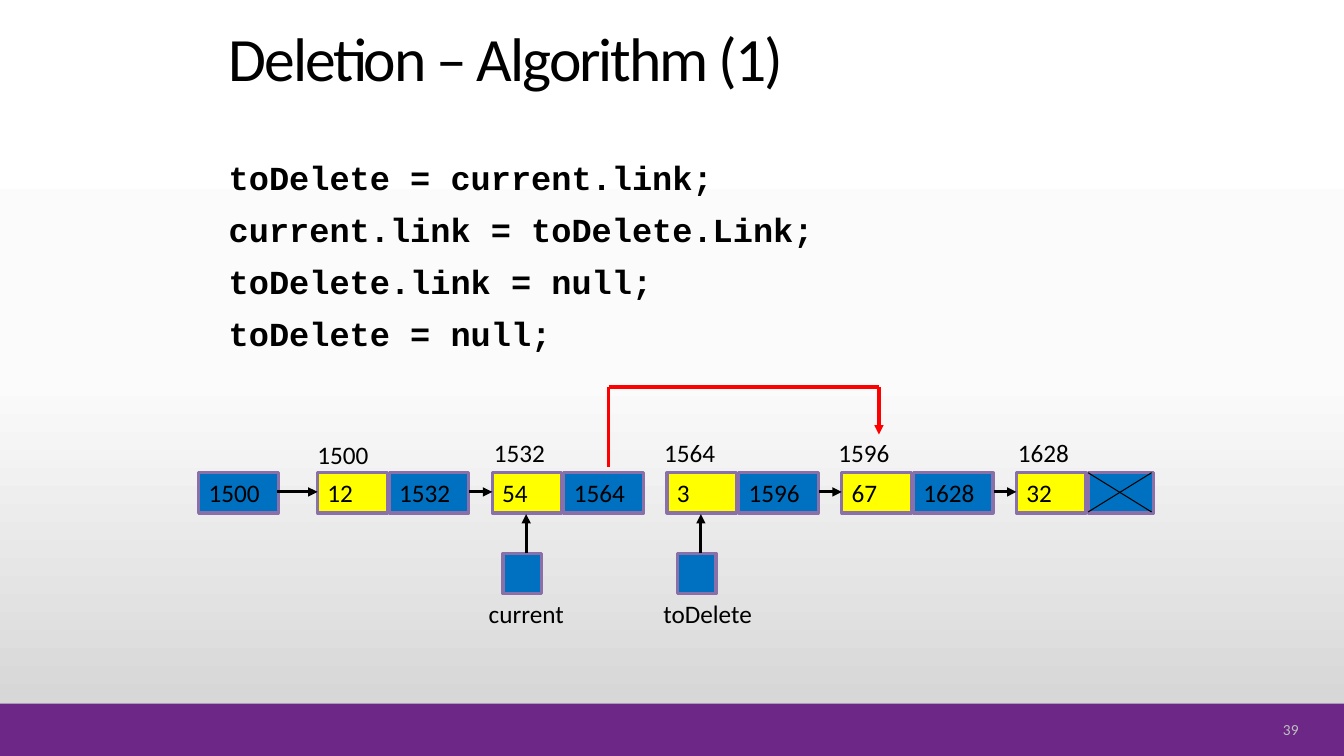
from pptx import Presentation
from pptx import util as u
from pptx.dml.color import RGBColor
from pptx.enum import shapes, text
from pptx.oxml import ns
from lxml import etree

WIDTH, HEIGHT = u.Inches(13.333), u.Inches(7.5)
BLACK = RGBColor(0x00, 0x00, 0x00)
RED = RGBColor(0xFF, 0x00, 0x00)
BLUE = RGBColor(0x00, 0x70, 0xC0)
YELLOW = RGBColor(0xFF, 0xFF, 0x00)
MAUVE = RGBColor(0x89, 0x70, 0xA9)
PURPLE = RGBColor(0x6C, 0x27, 0x87)
GREY = RGBColor(0xBF, 0xBF, 0xBF)
BACKGROUND_STOPS = [
    (0, RGBColor(0xFF, 0xFF, 0xFF)),
    (50, RGBColor(0xFB, 0xFB, 0xFB)),
    (100, RGBColor(0xD1, 0xD1, 0xD1)),
]

NODE_LEFT, NODE_PITCH, NODE_TOP = 23.63, 13, 62.53
LINK_OFFSET, LINK_WIDTH, DATA_WIDTH = 5.33, 5.93, 5.18
CELL_HEIGHT, ARROW_LEVEL = 5.33, 65.07

CODE = [
    "toDelete = current.link;",
    "current.link = toDelete.Link;",
    "toDelete.link = null;",
    "toDelete = null;",
]
NODES = [
    ("1500", 22.88, 57.47, "12", "1532"),
    ("1532", 36, 57.2, "54", "1564"),
    ("1564", 48.68, 57.2, "3", "1596"),
    ("1596", 61.65, 57.2, "67", "1628"),
    ("1628", 75, 57.2, "32", None),
]


def across(share):
    return round(WIDTH * share / 100)


def down(share):
    return round(HEIGHT * share / 100)


def area(left, top, width, height):
    return across(left), down(top), across(width), down(height)


def node_left(index):
    return NODE_LEFT + NODE_PITCH * index


def paint_background(slide):
    fill = slide.background.fill
    fill.gradient()
    fill.gradient_angle = 270
    stops = slide.background._cSld.find(".//" + ns.qn("a:gsLst"))
    for stop in list(stops):
        stops.remove(stop)
    for position, color in BACKGROUND_STOPS:
        stop = etree.SubElement(stops, ns.qn("a:gs"), pos=str(position * 1000))
        etree.SubElement(stop, ns.qn("a:srgbClr"), val=str(color))


def add_run(paragraph, words, size=18, color=BLACK, font="Calibri", bold=False):
    run = paragraph.add_run()
    run.text = words
    run.font.name = font
    run.font.size = u.Pt(size)
    run.font.bold = bold
    run.font.color.rgb = color
    return run


def add_text(slide, bounds, words, wrap=False, anchor=text.MSO_ANCHOR.TOP,
             align=text.PP_ALIGN.LEFT, **style):
    frame = slide.shapes.add_textbox(*area(*bounds)).text_frame
    frame.word_wrap = wrap
    frame.vertical_anchor = anchor
    paragraph = frame.paragraphs[0]
    paragraph.alignment = align
    return paragraph, add_run(paragraph, words, **style)


def add_title(slide):
    paragraph, run = add_text(slide, (16.28, 1.73, 61.88, 11.47), "Deletion – Algorithm (1)",
                              wrap=True, anchor=text.MSO_ANCHOR.BOTTOM, size=44)
    paragraph.line_spacing = 0.9
    run.font._element.set("spc", "-150")


def add_code(slide):
    frame = slide.shapes.add_textbox(*area(16.28, 20.67, 67.5, 68.8)).text_frame
    frame.word_wrap = True
    for index, line in enumerate(CODE):
        paragraph = frame.add_paragraph() if index else frame.paragraphs[0]
        paragraph.line_spacing = 0.9
        paragraph.space_before = u.Pt(10 if index else 0)
        paragraph.space_after = u.Pt(1.2)
        add_run(paragraph, line, size=24, font="Courier New", bold=True)


def add_box(slide, bounds, fill, line=MAUVE, words=None):
    shape = slide.shapes.add_shape(shapes.MSO_SHAPE.RECTANGLE, *area(*bounds))
    shape.shadow.inherit = False
    shape.fill.solid()
    shape.fill.fore_color.rgb = fill
    if line is None:
        shape.line.fill.background()
    else:
        shape.line.color.rgb = line
        shape.line.width = u.Pt(2.25)
    if words:
        frame = shape.text_frame
        frame.word_wrap = True
        frame.vertical_anchor = text.MSO_ANCHOR.TOP
        paragraph = frame.paragraphs[0]
        paragraph.alignment = text.PP_ALIGN.LEFT
        add_run(paragraph, words)


def add_line(slide, start, end, color=BLACK, width=2.25, arrow=True):
    connector = slide.shapes.add_connector(
        shapes.MSO_CONNECTOR.STRAIGHT,
        across(start[0]), down(start[1]), across(end[0]), down(end[1]))
    connector.line.color.rgb = color
    connector.line.width = u.Pt(width)
    if arrow:
        etree.SubElement(connector.line._get_or_add_ln(), ns.qn("a:tailEnd"), type="triangle")
    etree.SubElement(connector._element.spPr, ns.qn("a:effectLst"))


def add_node(slide, index, address, label_left, label_top, data, link):
    left = node_left(index)
    link_left = left + LINK_OFFSET
    add_box(slide, (left, NODE_TOP, DATA_WIDTH, CELL_HEIGHT), YELLOW, words=data)
    link_width = LINK_WIDTH if link else 4.88
    add_box(slide, (link_left, NODE_TOP, link_width, CELL_HEIGHT), BLUE, words=link)
    if link is None:
        right, bottom = link_left + 4.73, NODE_TOP + 5.2
        for top, end in ((NODE_TOP, bottom), (bottom, NODE_TOP)):
            add_line(slide, (link_left, top), (right, end), width=0.75, arrow=False)
    add_text(slide, (label_left, label_top, 5.33, CELL_HEIGHT), address)


def add_pointer(slide, index, name, label_width):
    left = node_left(index)
    add_box(slide, (left + 0.8, 73.2, 2.85, CELL_HEIGHT), BLUE)
    add_line(slide, (left + 2.52, 73.2), (left + 2.52, 68))
    add_text(slide, (left - 1, 78.53, label_width, CELL_HEIGHT), name)


def add_bypass(slide):
    corners = [(45.3, 61.73), (45.3, 51.2), (65.4, 51.2), (65.4, 57.47)]
    for start, end in zip(corners, corners[1:]):
        add_line(slide, start, end, color=RED, arrow=end == corners[-1])


def main():
    presentation = Presentation()
    presentation.slide_width, presentation.slide_height = WIDTH, HEIGHT
    slide = presentation.slides.add_slide(presentation.slide_layouts[6])
    paint_background(slide)
    add_box(slide, (0, 93.07, 100, 6.93), PURPLE, line=None)
    add_title(slide)
    add_code(slide)
    add_bypass(slide)
    add_box(slide, (14.78, NODE_TOP, LINK_WIDTH, CELL_HEIGHT), BLUE, words="1500")
    for index, node in enumerate(NODES):
        add_node(slide, index, *node)
    add_line(slide, (20.63, ARROW_LEVEL), (NODE_LEFT, ARROW_LEVEL))
    for index in (0, 2, 3):
        add_line(slide, (node_left(index) + 11.3, ARROW_LEVEL), (node_left(index + 1), ARROW_LEVEL))
    add_pointer(slide, 1, "current", 7.43)
    add_pointer(slide, 2, "toDelete", 8.18)
    add_text(slide, (91.73, 94.93, 5.63, 3.07), "39", wrap=True,
             anchor=text.MSO_ANCHOR.MIDDLE, align=text.PP_ALIGN.RIGHT, size=11, color=GREY)
    presentation.save("out.pptx")


if __name__ == "__main__":
    main()
